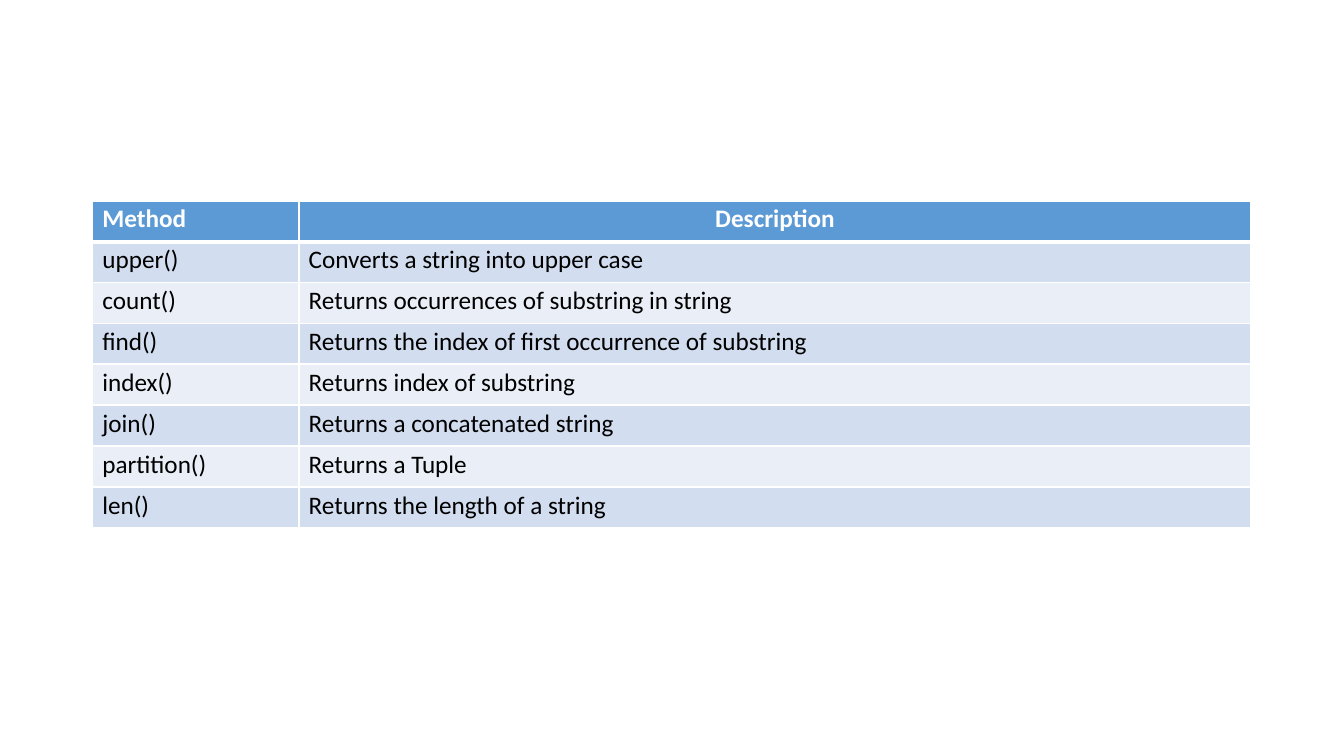
from dataclasses import dataclass

from lxml import etree
from pptx import Presentation
from pptx.dml.color import RGBColor
from pptx.enum.text import PP_ALIGN
from pptx.oxml.ns import qn
from pptx.util import Cm, Pt

LEFT, CENTER = PP_ALIGN.LEFT, PP_ALIGN.CENTER


@dataclass(frozen=True)
class Theme:
    font: str = "Calibri"
    size: int = 18
    head: str = "5B9AD5"
    bands: tuple = ("D2DEEF", "EAEFF7")
    white: str = "FFFFFF"
    black: str = "000000"
    thin: float = 1.5
    thick: float = 3


THEME = Theme()
HEAD = ("Method", "Description")
METHODS = [
    ("upper()", "Converts a string into upper case"),
    ("count()", "Returns occurrences of substring in string"),
    ("find()", "Returns the index of first occurrence of substring"),
    ("index()", "Returns index of substring"),
    ("join()", "Returns a concatenated string"),
    ("partition()", "Returns a Tuple"),
    ("len()", "Returns the length of a string"),
]


def paint(cell, color):
    cell.fill.solid()
    cell.fill.fore_color.rgb = RGBColor.from_string(color)


def edge(cell, top, base):
    """Draw white borders, with top and base widths in points."""
    props = cell._tc.get_or_add_tcPr()
    sides = {"L": THEME.thin, "R": THEME.thin, "T": top, "B": base}
    for spot, (side, width) in enumerate(sides.items()):
        line = etree.Element(qn(f"a:ln{side}"), w=str(Pt(width)))
        fill = etree.SubElement(line, qn("a:solidFill"))
        etree.SubElement(fill, qn("a:srgbClr"), val=THEME.white)
        props.insert(spot, line)


def write(cell, text, color, bold, align):
    cell.margin_left = cell.margin_right = cell.margin_bottom = 0
    cell.margin_top = Cm(0.08)
    cell.text_frame.text = text
    para = cell.text_frame.paragraphs[0]
    para.alignment = align
    para.space_before = Pt(2.4)
    if align == LEFT:
        para._p.get_or_add_pPr().set("marL", str(Cm(0.25)))
    font = para.runs[0].font
    font.name, font.size, font.bold = THEME.font, Pt(THEME.size), bold
    font.color.rgb = RGBColor.from_string(color)


def add_head(table):
    for cell, text, align in zip(table.rows[0].cells, HEAD, (LEFT, CENTER)):
        paint(cell, THEME.head)
        edge(cell, THEME.thin, THEME.thick)
        write(cell, text, THEME.white, True, align)


def add_body(table):
    for row, texts in enumerate(METHODS, 1):
        top = THEME.thick if row == 1 else THEME.thin
        for cell, text in zip(table.rows[row].cells, texts):
            paint(cell, THEME.bands[(row - 1) % 2])
            edge(cell, top, THEME.thin)
            write(cell, text, THEME.black, False, LEFT)


def add_grid(slide, left, top, widths, height):
    count = len(METHODS) + 1
    frame = slide.shapes.add_table(
        count, len(widths), Cm(left), Cm(top),
        Cm(sum(widths)), Cm(height * count))
    table = frame.table
    table.horz_banding = False
    for col, width in zip(table.columns, widths):
        col.width = Cm(width)
    for row in table.rows:
        row.height = Cm(height)
    return table


def main():
    deck = Presentation()
    deck.slide_width, deck.slide_height = Cm(33.87), Cm(19.05)
    slide = deck.slides.add_slide(deck.slide_layouts[6])
    table = add_grid(slide, 2.33, 5.06, (5.2, 24), 1.03)
    add_head(table)
    add_body(table)
    deck.save("out.pptx")


if __name__ == "__main__":
    main()
